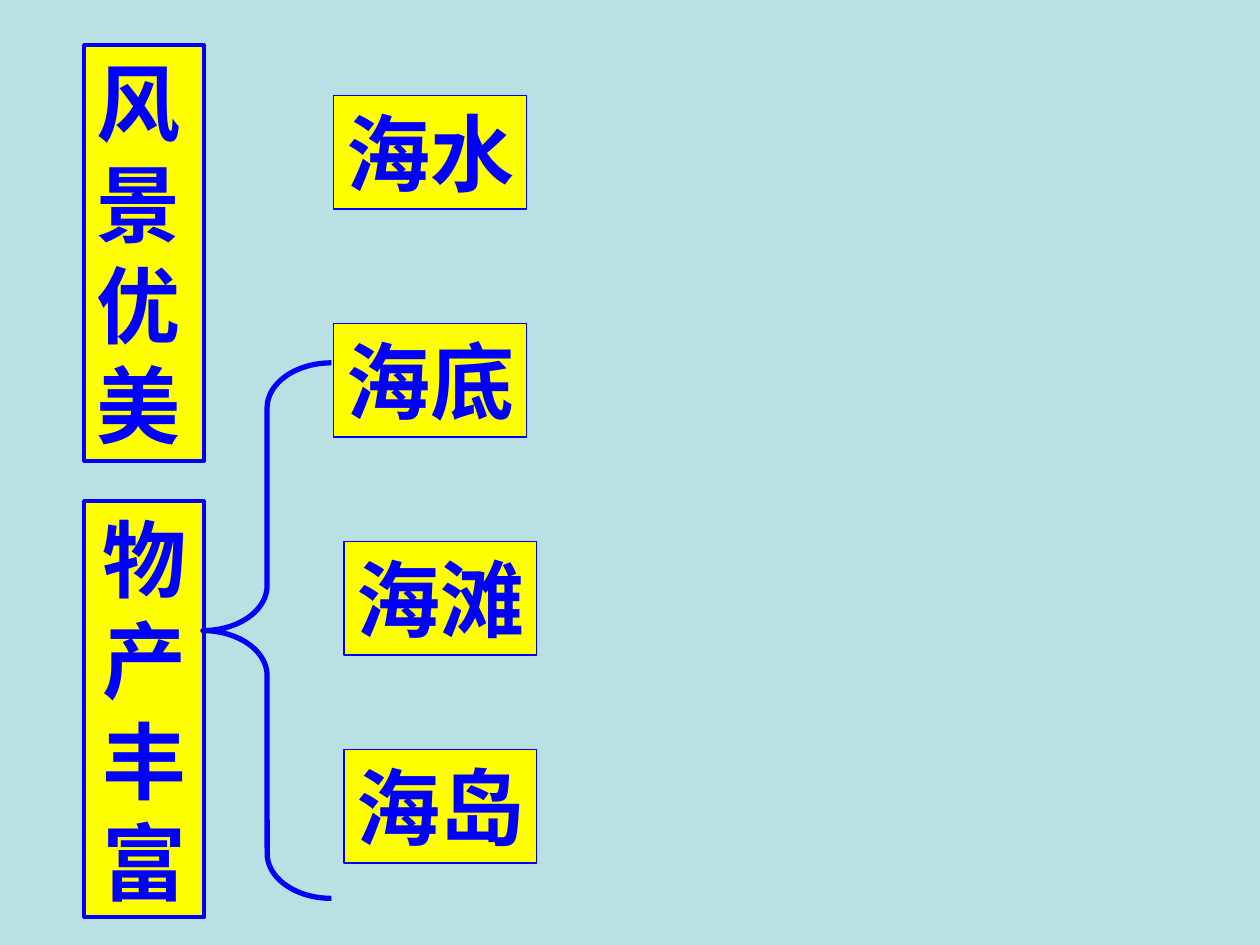
"""Build a slide that groups the sea's scenery and riches."""
import pptx
import pptx.util
import pptx.dml.color
import pptx.enum.shapes
import pptx.enum.text

Inches = pptx.util.Inches
Pt = pptx.util.Pt
SHAPE = pptx.enum.shapes.MSO_SHAPE
ALIGN = pptx.enum.text.PP_ALIGN
ANCHOR = pptx.enum.text.MSO_ANCHOR
BLUE = pptx.dml.color.RGBColor(0x00, 0x00, 0xFF)
YELLOW = pptx.dml.color.RGBColor(0xFF, 0xFF, 0x00)
AQUA = pptx.dml.color.RGBColor(0xBB, 0xE0, 0xE3)


def add_box(slide, left, top, width, height, lines, weight, align, anchor, wrap):
    """Add a yellow box with bold blue text."""
    box = slide.shapes.add_shape(
        SHAPE.RECTANGLE, Inches(left), Inches(top), Inches(width), Inches(height))
    box.shadow.inherit = False
    box.fill.solid()
    box.fill.fore_color.rgb = YELLOW
    box.line.color.rgb = BLUE
    box.line.width = Pt(weight)
    frame = box.text_frame
    frame.word_wrap = wrap
    frame.auto_size = pptx.enum.text.MSO_AUTO_SIZE.SHAPE_TO_FIT_TEXT
    frame.vertical_anchor = anchor
    for num, line in enumerate(lines):
        para = frame.add_paragraph() if num else frame.paragraphs[0]
        para.alignment = align
        run = para.add_run()
        run.text = line
        run.font.name = "Arial"
        run.font.size = Pt(48)
        run.font.bold = True
        run.font.color.rgb = BLUE


deck = pptx.Presentation()
deck.slide_width = Inches(10)
deck.slide_height = Inches(7.5)
slide = deck.slides.add_slide(deck.slide_layouts[6])
slide.background.fill.solid()
slide.background.fill.fore_color.rgb = AQUA

themes = [
    (3.98, ["物产丰富"], ALIGN.CENTER, ANCHOR.MIDDLE),
    (0.36, ["风", "景", "优", "美"], ALIGN.LEFT, ANCHOR.TOP),
]
for top, lines, align, anchor in themes:
    add_box(slide, 0.67, top, 0.95, 3.3, lines, 2.25, align, anchor, True)

brace = slide.shapes.add_shape(
    SHAPE.LEFT_BRACE, Inches(1.61), Inches(2.88), Inches(1.02), Inches(4.25))
brace.shadow.inherit = False
brace.adjustments[0] = 0.35
brace.adjustments[1] = 0.5
brace.fill.background()
brace.line.color.rgb = BLUE
brace.line.width = Pt(3)

places = [
    (2.65, 0.76, "海水", ANCHOR.MIDDLE),
    (2.65, 2.57, "海底", ANCHOR.TOP),
    (2.73, 4.3, "海滩", ANCHOR.TOP),
    (2.73, 5.95, "海岛", ANCHOR.TOP),
]
for left, top, name, anchor in places:
    add_box(slide, left, top, 1.53, 0.9, [name], 0.75, ALIGN.LEFT, anchor, False)

deck.save("out.pptx")
